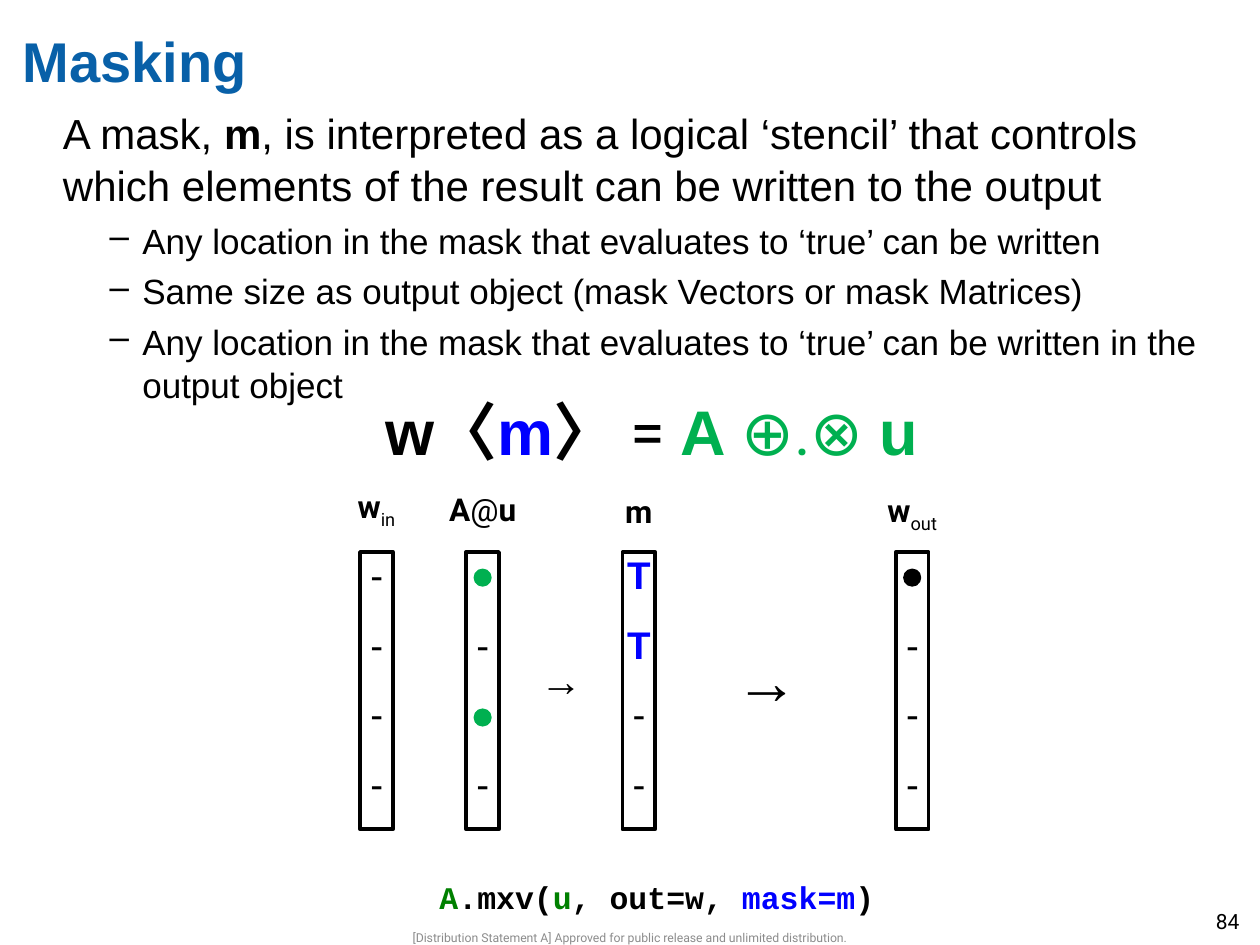
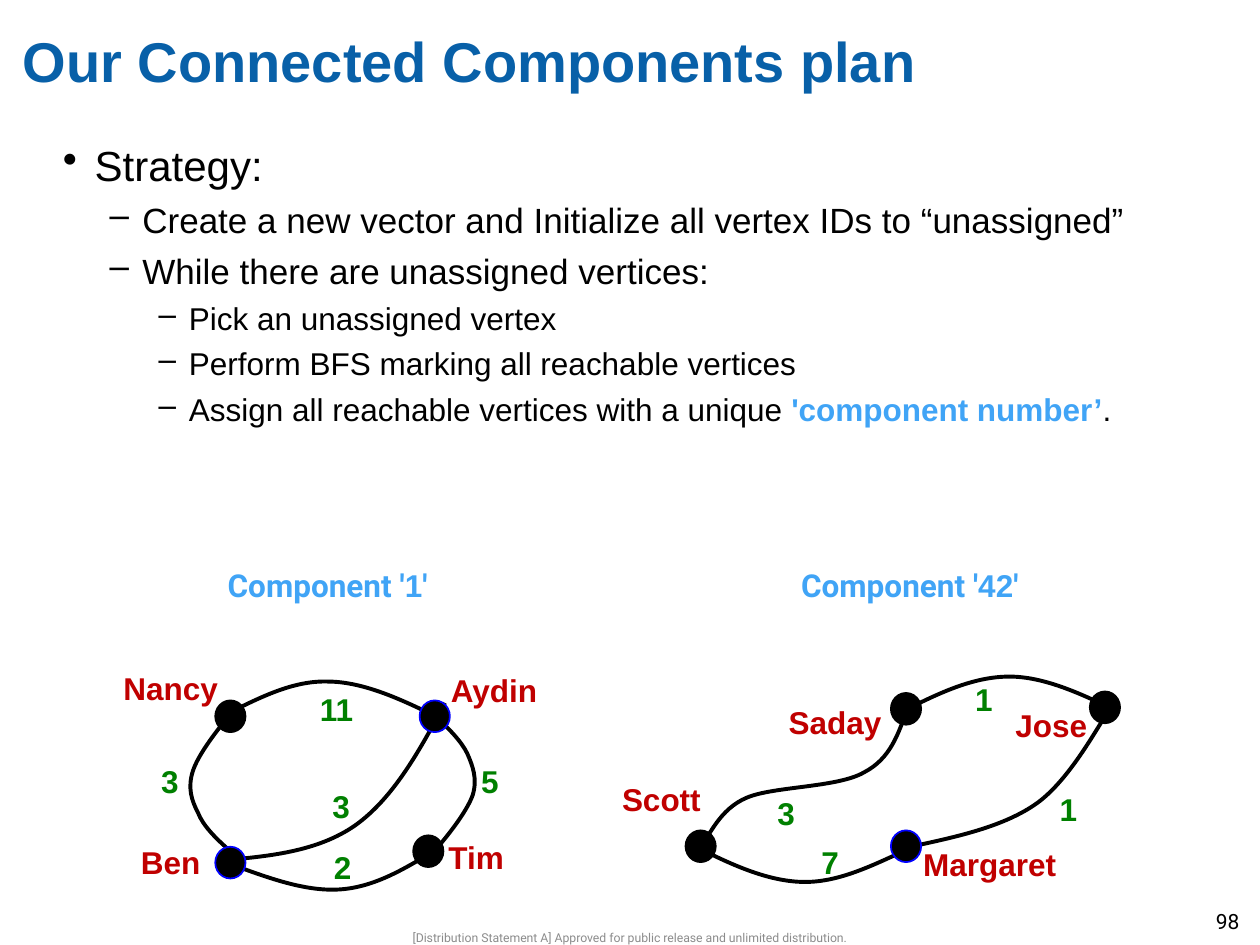
from dataclasses import dataclass

from lxml import etree
from pptx import Presentation
from pptx.dml.color import RGBColor
from pptx.enum.shapes import MSO_SHAPE as Preset
from pptx.enum.text import MSO_ANCHOR as Anchor, PP_ALIGN as Align
from pptx.oxml.ns import qn
from pptx.util import Cm, Pt

BLACK, GRAY, TITLE_BLUE = "000000", "8C8C8C", "0860A8"
BLUE, SKY, RED = "0000FF", "40A4F6", "C00000"
GREEN, DARK_GREEN = "00B050", "008000"
SANS, ROBOTO, MONO = "Arial", "Roboto", "Courier New"
FOOTER = "[Distribution Statement A] Approved for public release and unlimited distribution."

ROW_TOP, ROW_PITCH, ROW_HEIGHT = 11.1, 1.41, 0.94
VECTOR_WIDTH, VECTOR_HEIGHT, DOT_SIZE = 0.66, 5.59, 0.33
SYMBOL_WIDTHS = {"-": 0.25, "T": 0.48}
NODE_WIDTH, NODE_HEIGHT, LABEL_HEIGHT = 0.61, 0.64, 1.02

Point = tuple[float, float]


@dataclass(frozen=True)
class Run:
    text: str
    size: float = 18
    color: str = BLACK
    font: str = SANS
    bold: bool = False
    subscript: bool = False


@dataclass(frozen=True)
class Level:
    size: float
    margin: float
    hanging: float
    bullet: str


@dataclass(frozen=True)
class Item:
    level: Level
    runs: list[Run]


@dataclass(frozen=True)
class Vector:
    left: float
    label_top: float
    label_width: float
    label: list[Run]
    cells: str
    dot_color: str = BLACK


@dataclass(frozen=True)
class Label:
    text: str
    left: float
    top: float
    width: float = 0.86


@dataclass(frozen=True)
class Node:
    left: float
    top: float
    outline: str = BLACK


@dataclass(frozen=True)
class Component:
    caption_left: float
    caption_width: float
    number: str
    edges: list[list[Point]]
    nodes: list[Node]
    names: list[Label]
    weights: list[Label]


PLAIN = Level(24, 0, 0, "")
TOP = Level(24, 0.64, 0.64, "•")
SUB = Level(20, 1.6, 0.66, "–")
DETAIL = Level(18, 2.54, 0.61, "–")


def rgb(color: str) -> RGBColor:
    return RGBColor.from_string(color)


def add_runs(paragraph, runs: list[Run]) -> None:
    for part in runs:
        run = paragraph.add_run()
        run.text = part.text
        run.font.size = Pt(part.size)
        run.font.name = part.font
        run.font.bold = part.bold
        run.font.color.rgb = rgb(part.color)
        if part.subscript:
            run._r.get_or_add_rPr().set("baseline", "-25000")


def add_frame(shapes, left: float, top: float, width: float, height: float,
              inset: bool = True, wrap: bool = True):
    frame = shapes.add_textbox(Cm(left), Cm(top), Cm(width), Cm(height)).text_frame
    frame.word_wrap = wrap
    if not inset:
        frame.margin_left = frame.margin_right = frame.margin_top = frame.margin_bottom = 0
    return frame


def add_text(shapes, left: float, top: float, width: float, height: float, runs: list[Run],
             inset: bool = True, wrap: bool = True, align=Align.LEFT, anchor=Anchor.TOP) -> None:
    frame = add_frame(shapes, left, top, width, height, inset, wrap)
    frame.vertical_anchor = anchor
    frame.paragraphs[0].alignment = align
    add_runs(frame.paragraphs[0], runs)


def add_preset(shapes, preset, left: float, top: float, width: float, height: float,
               fill: str | None, outline: str, weight: float) -> None:
    shape = shapes.add_shape(preset, Cm(left), Cm(top), Cm(width), Cm(height))
    shape.shadow.inherit = False
    if fill:
        shape.fill.solid()
        shape.fill.fore_color.rgb = rgb(fill)
    else:
        shape.fill.background()
    shape.line.color.rgb = rgb(outline)
    shape.line.width = Pt(weight)


def add_curve(shapes, points: list[Point]) -> None:
    """Draw a start point followed by triples of cubic Bézier points."""
    start, *rest = [(Cm(x), Cm(y)) for x, y in points]
    builder = shapes.build_freeform(*start)
    builder.add_line_segments(rest, close=False)
    shape = builder.convert_to_shape()
    outline = next(shape.element.iter(qn("a:path")))
    segments = outline.findall(qn("a:lnTo"))
    for first in range(0, len(segments), 3):
        curve = etree.SubElement(outline, qn("a:cubicBezTo"))
        for segment in segments[first:first + 3]:
            curve.append(segment[0])
            outline.remove(segment)
    shape.shadow.inherit = False
    shape.fill.background()
    shape.line.color.rgb = rgb(BLACK)
    shape.line.width = Pt(2.25)


def add_body(shapes, top: float, height: float, items: list[Item]) -> None:
    frame = add_frame(shapes, 1.27, top, 22.89, height, inset=False)
    for index, item in enumerate(items):
        paragraph = frame.add_paragraph() if index else frame.paragraphs[0]
        level = item.level
        if level.bullet:
            properties = paragraph._p.get_or_add_pPr()
            properties.set("marL", str(Cm(level.margin)))
            properties.set("indent", str(-Cm(level.hanging)))
            etree.SubElement(properties, qn("a:buChar")).set("char", level.bullet)
        paragraph.line_spacing = 1.04
        if index:
            paragraph.space_before = Pt(level.size * 0.2)
        add_runs(paragraph, item.runs)


def add_base_slide(presentation, title: str, number: str):
    slide = presentation.slides.add_slide(presentation.slide_layouts[6])
    shapes = slide.shapes
    add_text(shapes, 7.26, 18.75, 10.87, 0.3, [Run(FOOTER, 7, GRAY, ROBOTO)],
             align=Align.CENTER, anchor=Anchor.MIDDLE)
    add_text(shapes, 0.46, 0.53, 22.89, 2.46, [Run(title, 32, TITLE_BLUE, bold=True)], inset=False)
    add_text(shapes, 24.26, 18.19, 1.14, 0.84, [Run(number, 12, font=ROBOTO)])
    return shapes


def add_vector(shapes, vector: Vector) -> None:
    center = vector.left + VECTOR_WIDTH / 2
    add_text(shapes, center - vector.label_width / 2, vector.label_top, vector.label_width,
             LABEL_HEIGHT, vector.label, wrap=False, align=Align.CENTER)
    group = shapes.add_group_shape().shapes
    add_preset(group, Preset.RECTANGLE, vector.left, 11.13, VECTOR_WIDTH, VECTOR_HEIGHT,
               None, BLACK, 2.25)
    for row, symbol in enumerate(vector.cells):
        top = ROW_TOP + row * ROW_PITCH
        if symbol == "●":
            add_preset(group, Preset.OVAL, center - DOT_SIZE / 2, top + 0.38, DOT_SIZE, DOT_SIZE,
                       vector.dot_color, vector.dot_color, 1)
        else:
            truth = symbol == "T"
            width = SYMBOL_WIDTHS[symbol]
            run = Run(symbol, 22, BLUE if truth else BLACK, bold=truth)
            add_text(group, center - width / 2, top, width, ROW_HEIGHT, [run],
                     inset=False, wrap=False, align=Align.CENTER)


def add_component(shapes, component: Component) -> None:
    group = shapes.add_group_shape().shapes
    for edge in component.edges:
        add_curve(group, edge)
    for node in component.nodes:
        add_preset(group, Preset.OVAL, node.left, node.top, NODE_WIDTH, NODE_HEIGHT,
                   BLACK, node.outline, 1)
    for labels, color in ((component.names, RED), (component.weights, DARK_GREEN)):
        for label in labels:
            add_text(group, label.left, label.top, label.width, LABEL_HEIGHT,
                     [Run(label.text, color=color, bold=True)], wrap=False)
    caption = [Run("Component '", 18, SKY, ROBOTO, True), Run(component.number, 18, SKY, SANS, True),
               Run("'", 18, SKY, ROBOTO, True)]
    add_text(shapes, component.caption_left, 11.28, component.caption_width, LABEL_HEIGHT,
             caption, wrap=False)


def build_masking(presentation) -> None:
    shapes = add_base_slide(presentation, "Masking", "84")
    notes = ["Any location in the mask that evaluates to ‘true’ can be written",
             "Same size as output object (mask Vectors or mask Matrices)",
             "Any location in the mask that evaluates to ‘true’ can be written in the output object"]
    lead = [Run("A mask, ", 24), Run("m", 24, bold=True),
            Run(", is interpreted as a logical ‘stencil’ that controls which elements of "
                "the result can be written to the output", 24)]
    add_body(shapes, 2.13, 8.2, [Item(PLAIN, lead)]
             + [Item(SUB, [Run(note, SUB.size)]) for note in notes])

    formula = [Run("w", 36, bold=True), Run("〈", 36, font=ROBOTO, bold=True),
               Run("m", 36, BLUE, bold=True), Run("〉 ", 36, font=ROBOTO, bold=True),
               Run("= ", 36, font=ROBOTO), Run("A ", 36, GREEN, bold=True),
               Run("⊕.⊗ ", 36, GREEN, ROBOTO), Run("u", 36, GREEN, bold=True)]
    add_text(shapes, 7.77, 7.92, 13.64, 1.55, formula, inset=False)

    def name(text: str) -> Run:
        return Run(text, font=ROBOTO, bold=True)

    def subscript(text: str) -> Run:
        return Run(text, font=ROBOTO, subscript=True)

    vectors = [
        Vector(7.26, 9.7, 1.42, [name("w"), subscript("in")], "----"),
        Vector(9.4, 9.75, 1.96, [name("A"), Run("@", font=ROBOTO), name("u")], "●-●-", GREEN),
        Vector(12.55, 9.8, 1.12, [name("m")], "TT--"),
        Vector(18.06, 9.78, 1.7, [name("w"), subscript("out")], "●---"),
    ]
    for vector in vectors:
        add_vector(shapes, vector)
    add_text(shapes, 10.64, 13.06, 1.57, 1.27, [Run("→", 24)], wrap=False)
    add_text(shapes, 14.58, 12.8, 2.13, 1.8, [Run("→", 36)], wrap=False)

    code = [("A", DARK_GREEN), (".mxv(", BLACK), ("u", DARK_GREEN), (", out=w, ", BLACK),
            ("mask=m", BLUE), (")", BLACK)]
    add_text(shapes, 8.86, 17.7, 15.27, 0.84,
             [Run(text, 18, color, MONO, True) for text, color in code], inset=False)


def build_components(presentation) -> None:
    shapes = add_base_slide(presentation, "Our Connected Components plan", "98")
    steps = [(TOP, "Strategy:"),
             (SUB, "Create a new vector and Initialize all vertex IDs to “unassigned”"),
             (SUB, "While there are unassigned vertices:"),
             (DETAIL, "Pick an unassigned vertex"),
             (DETAIL, "Perform BFS marking all reachable vertices")]
    assign = [Run("Assign all reachable vertices with a unique "),
              Run("'component number’", color=SKY, bold=True), Run(".")]
    add_body(shapes, 2.77, 6.53, [Item(level, [Run(text, level.size)]) for level, text in steps]
             + [Item(DETAIL, assign)])

    left_component = Component(
        4.34, 5.11, "1",
        edges=[
            [(4.6, 17.12), (4.34, 16.89), (4.09, 16.64), (3.99, 16.38), (3.86, 16.13),
             (3.78, 15.88), (3.89, 15.54), (3.99, 15.24), (4.29, 14.83), (4.6, 14.45)],
            [(4.6, 14.38), (5.26, 14.05), (5.92, 13.72), (6.6, 13.74),
             (7.29, 13.74), (8.03, 14.07), (8.76, 14.43)],
            [(8.81, 17.12), (8.18, 17.5), (7.57, 17.88), (6.86, 17.93),
             (6.17, 17.98), (5.41, 17.7), (4.65, 17.42)],
            [(8.79, 14.45), (9.04, 14.68), (9.3, 14.94), (9.42, 15.19), (9.53, 15.44),
             (9.63, 15.7), (9.53, 16.03), (9.42, 16.33), (9.12, 16.74), (8.79, 17.12)],
            [(4.39, 17.35), (5.41, 17.27), (6.4, 17.17), (7.16, 16.64),
             (7.92, 16.1), (8.46, 15.14), (8.97, 14.17)],
        ],
        nodes=[Node(4.34, 14.12), Node(8.46, 14.12, BLUE), Node(4.34, 17.07, BLUE),
               Node(8.33, 16.84)],
        names=[Label("Ben", 2.59, 16.87, 1.73), Label("Nancy", 2.24, 13.36, 2.44),
               Label("Aydin", 8.84, 13.41, 2.26), Label("Tim", 8.79, 16.76, 1.65)],
        weights=[Label("5", 9.45, 15.24), Label("2", 6.48, 16.97), Label("11", 6.2, 13.79, 1.19),
                 Label("3", 3, 15.24), Label("3", 6.45, 15.75)])
    right_component = Component(
        15.9, 5.46, "42",
        edges=[
            [(14.15, 17.02), (14.3, 16.87), (14.5, 16.31), (15.06, 16.08), (15.6, 15.85),
             (16.89, 15.88), (17.42, 15.57), (17.96, 15.29), (18.11, 14.78), (18.29, 14.3)],
            [(18.34, 14.27), (19, 13.94), (19.66, 13.64), (20.35, 13.64),
             (21.03, 13.64), (21.77, 13.97), (22.5, 14.33)],
            [(18.24, 17.15), (17.58, 17.45), (16.92, 17.78), (16.23, 17.78),
             (15.52, 17.78), (14.78, 17.45), (14.07, 17.09)],
            [(22.35, 14.33), (22.12, 14.66), (21.54, 15.77), (20.85, 16.23),
             (20.17, 16.69), (19.2, 16.89), (18.26, 17.09)],
        ],
        nodes=[Node(17.96, 16.74, BLUE), Node(17.96, 13.97), Node(21.97, 13.94),
               Node(13.82, 16.74)],
        names=[Label("Margaret", 18.36, 16.92, 3.23), Label("Jose", 20.22, 14.1, 1.98),
               Label("Scott", 12.29, 15.6, 2.11), Label("Saday", 15.65, 14.05, 2.41)],
        weights=[Label("3", 15.42, 15.88), Label("1", 21.11, 15.8), Label("7", 16.31, 16.87),
                 Label("1", 19.41, 13.59)])
    for component in (left_component, right_component):
        add_component(shapes, component)


def main() -> None:
    presentation = Presentation()
    presentation.slide_width, presentation.slide_height = Cm(25.4), Cm(19.05)
    build_masking(presentation)
    build_components(presentation)
    presentation.save("out.pptx")


if __name__ == "__main__":
    main()
